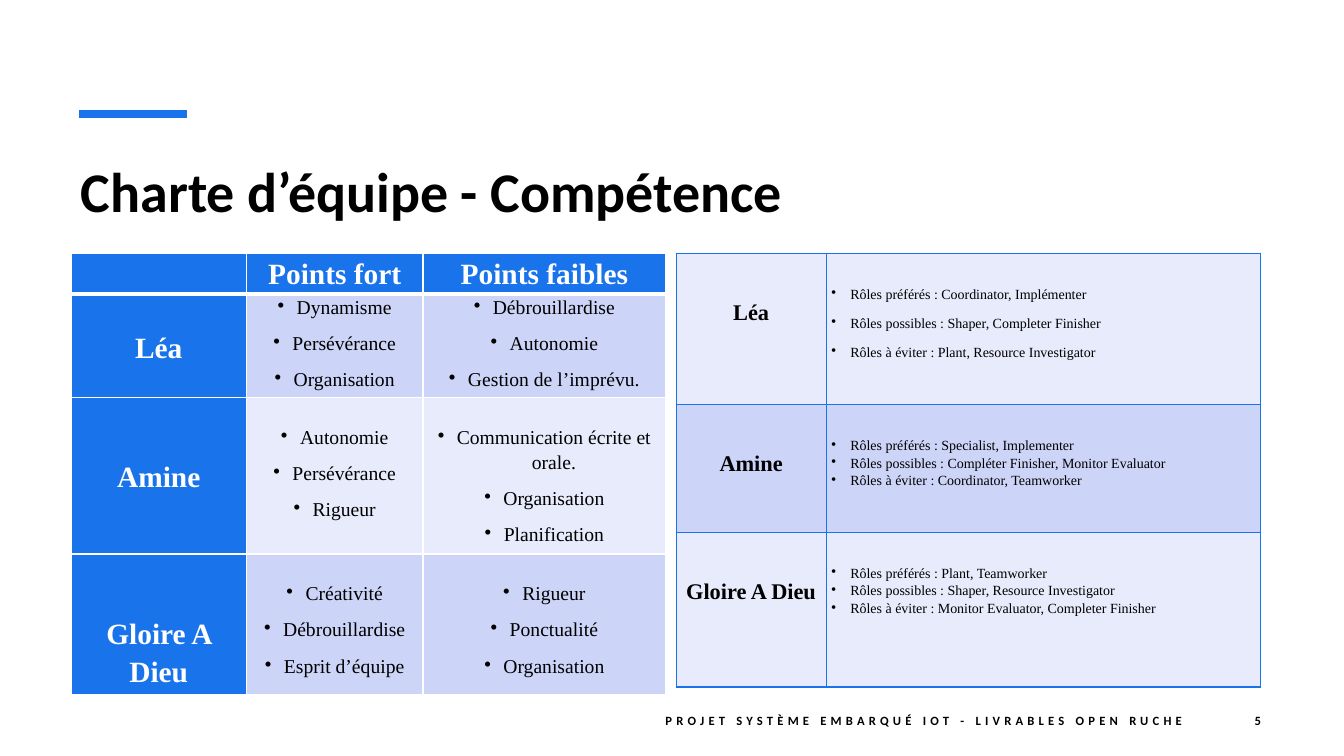
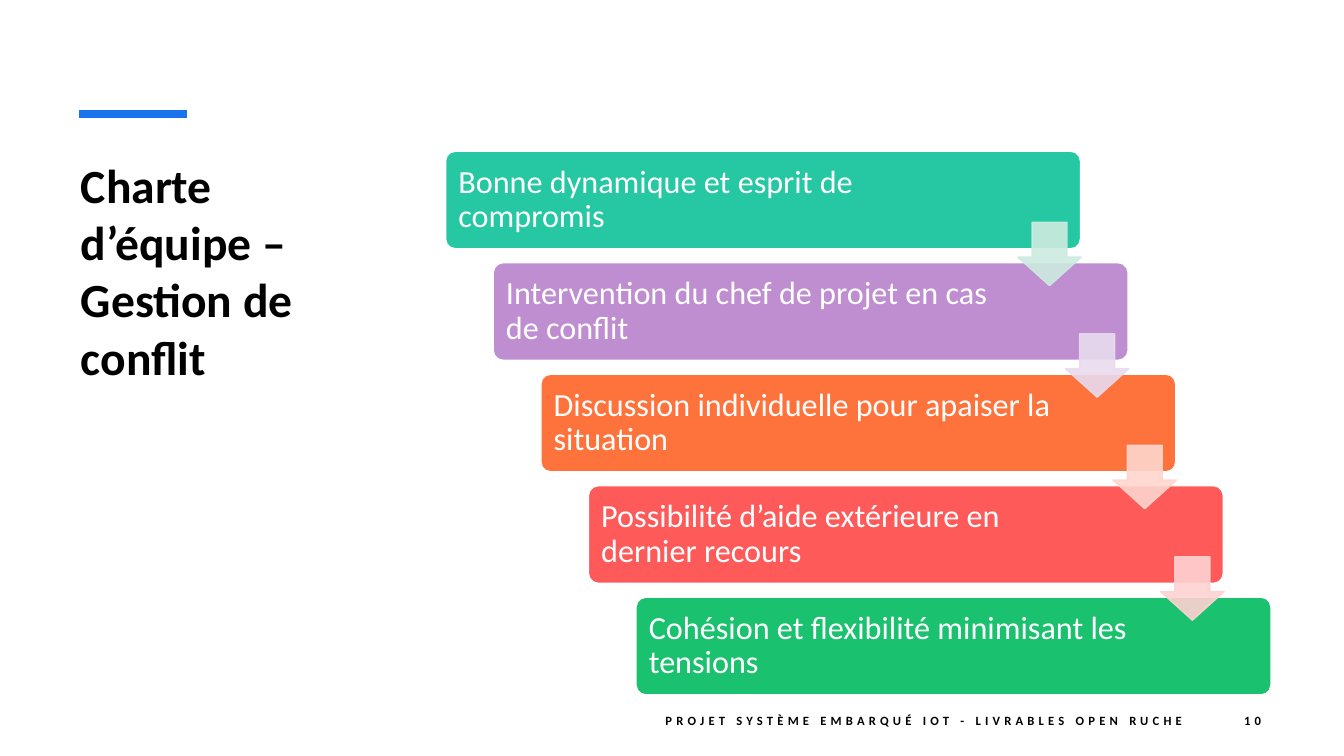
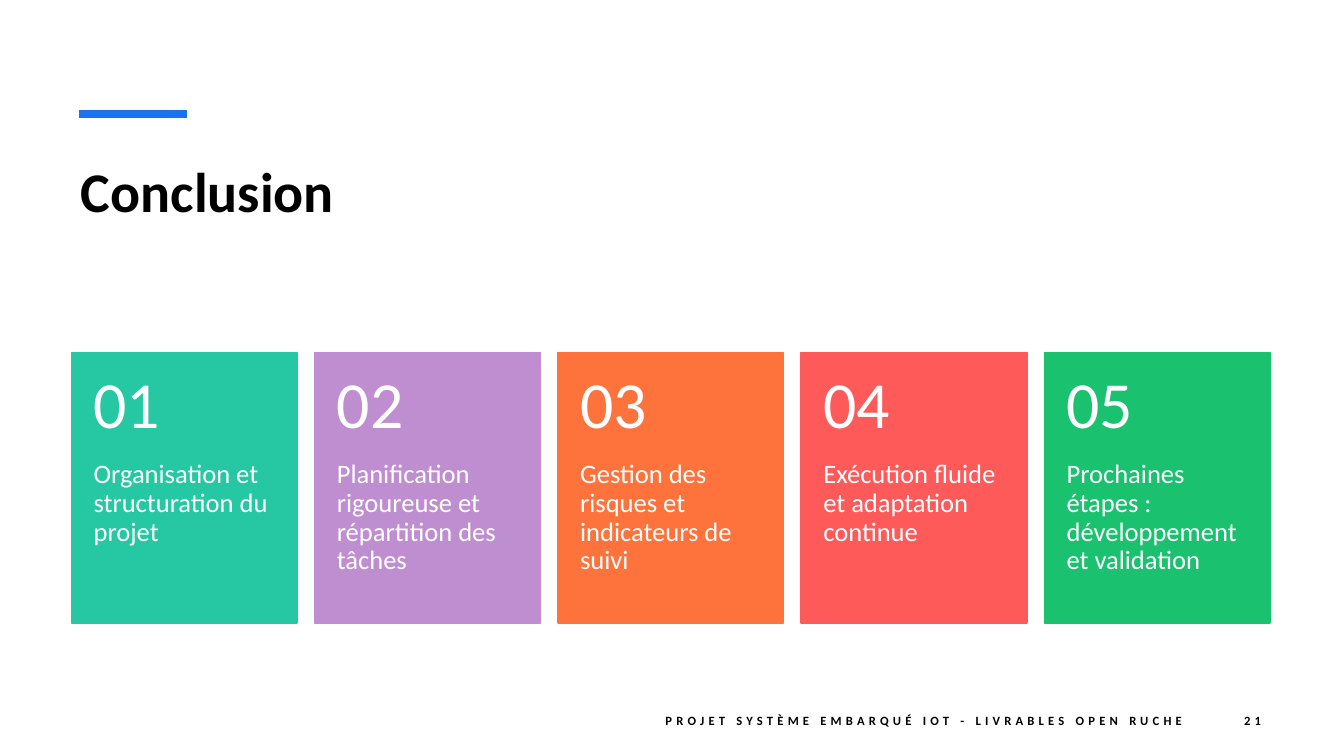
from dataclasses import dataclass, replace

from lxml.etree import SubElement
from pptx import Presentation
from pptx.dml.color import RGBColor
from pptx.enum.shapes import MSO_CONNECTOR, MSO_SHAPE
from pptx.enum.text import MSO_ANCHOR, PP_ALIGN
from pptx.oxml.ns import qn
from pptx.util import Cm, Pt


@dataclass(frozen=True)
class Theme:
    font: str = "Calibri"
    table_font: str = "Times New Roman"
    blue: str = "1973EB"
    band_dark: str = "CCD5F7"
    band_light: str = "E8EBFB"
    black: str = "000000"
    white: str = "FFFFFF"
    accents: tuple[str, ...] = ("25C8A2", "BF8ED1", "FE733C", "FE5A5A", "1AC16E")
    tints: tuple[str, ...] = ("CDEBE0", "E8DBEE", "FFD5CE", "FFD2D2")
    title: int = 40
    long_title: int = 34
    footer: int = 9
    step: int = 23
    number: int = 47
    card: int = 19


@dataclass(frozen=True)
class TextStyle:
    size: float
    color: str
    font: str
    bold: bool = False
    align: PP_ALIGN = PP_ALIGN.LEFT
    spacing: float = 1.0
    after: float = 0
    tracking: float = 0
    bullet: bool = False


@dataclass(frozen=True)
class Box:
    """Position and size in centimetres."""
    x: float
    y: float
    w: float
    h: float

    def lengths(self) -> tuple[Cm, Cm, Cm, Cm]:
        return Cm(self.x), Cm(self.y), Cm(self.w), Cm(self.h)


@dataclass(frozen=True)
class Member:
    name: str
    strengths: tuple[str, ...]
    weaknesses: tuple[str, ...]
    roles: tuple[str, ...]
    band: str
    name_top: float
    list_top: float
    role_band: str
    role_gap: float


T = Theme()
FOOTER = "PROJET SYSTÈME EMBARQUÉ IOT - LIVRABLES OPEN RUCHE"
BULLET_INDENT = Cm(0.48)

TITLE = TextStyle(T.title, T.black, T.font, bold=True)
FOOT = TextStyle(T.footer, T.black, T.font, bold=True, align=PP_ALIGN.RIGHT, tracking=3)
STEP = TextStyle(T.step, T.white, T.font, spacing=0.9)
NUMBER = replace(STEP, size=T.number)
CARD = replace(STEP, size=T.card)
HEAD = TextStyle(21, T.white, T.table_font, True, PP_ALIGN.CENTER, 1.15, 8)
POINT = replace(HEAD, size=14, color=T.black, bold=False, bullet=True)
ROLE_NAME = replace(HEAD, size=16, color=T.black)
ROLE = replace(POINT, size=10, align=PP_ALIGN.JUSTIFY)

MEMBERS = (
    Member("Léa",
           ("Dynamisme", "Persévérance", "Organisation"),
           ("Débrouillardise", "Autonomie", "Gestion de l’imprévu."),
           ("Rôles préférés : Coordinator, Implémenter",
            "Rôles possibles : Shaper, Completer Finisher",
            "Rôles à éviter : Plant, Resource Investigator"),
           T.band_dark, 0.84, 0, T.band_light, 8),
    Member("Amine",
           ("Autonomie", "Persévérance", "Rigueur"),
           ("Communication écrite et orale.", "Organisation", "Planification"),
           ("Rôles préférés : Specialist, Implementer",
            "Rôles possibles : Compléter Finisher, Monitor Evaluator",
            "Rôles à éviter : Coordinator, Teamworker"),
           T.band_light, 1.5, 0.66, T.band_dark, 0),
    Member("Gloire A Dieu",
           ("Créativité", "Débrouillardise", "Esprit d’équipe"),
           ("Rigueur", "Ponctualité", "Organisation"),
           ("Rôles préférés : Plant, Teamworker",
            "Rôles possibles : Shaper, Resource Investigator",
            "Rôles à éviter : Monitor Evaluator, Completer Finisher"),
           T.band_dark, 1.5, 0.66, T.band_light, 0),
)
STEPS = (
    "Bonne dynamique et esprit de compromis",
    "Intervention du chef de projet en cas de conflit",
    "Discussion individuelle pour apaiser la situation",
    "Possibilité d’aide extérieure en dernier recours",
    "Cohésion et flexibilité minimisant les tensions",
)
CARDS = (
    "Organisation et structuration du projet",
    "Planification rigoureuse et répartition des tâches",
    "Gestion des risques et indicateurs de suivi",
    "Exécution fluide et adaptation continue",
    "Prochaines étapes : développement et validation",
)


def rgb(color: str) -> RGBColor:
    return RGBColor.from_string(color)


def write(tf, lines: tuple[str, ...], style: TextStyle) -> None:
    tf.word_wrap = True
    for i, line in enumerate(lines):
        p = tf.add_paragraph() if i else tf.paragraphs[0]
        p.text = line
        p.alignment = style.align
        p.line_spacing = style.spacing
        p.space_after = Pt(style.after)
        if style.bullet:
            pPr = p._p.get_or_add_pPr()
            pPr.set("marL", str(BULLET_INDENT))
            pPr.set("indent", str(-BULLET_INDENT))
            SubElement(pPr, qn("a:buChar")).set("char", "•")
        for r in p.runs:
            r.font.size = Pt(style.size)
            r.font.name = style.font
            r.font.bold = style.bold
            r.font.color.rgb = rgb(style.color)
            if style.tracking:
                r._r.get_or_add_rPr().set("spc", str(int(style.tracking * 100)))


def set_insets(target, left: float, top: float, right: float, bottom: float) -> None:
    """Set the margins, in centimetres, of a text frame or a table cell."""
    target.margin_left, target.margin_top = Cm(left), Cm(top)
    target.margin_right, target.margin_bottom = Cm(right), Cm(bottom)


def add_text(s, box: Box, text: str, style: TextStyle, anchor=MSO_ANCHOR.TOP):
    tf = s.shapes.add_textbox(*box.lengths()).text_frame
    tf.vertical_anchor = anchor
    write(tf, (text,), style)
    return tf


def add_block(s, kind: MSO_SHAPE, box: Box, fill: str, line: str):
    sp = s.shapes.add_shape(kind, *box.lengths())
    sp.shadow.inherit = False
    sp.fill.solid()
    sp.fill.fore_color.rgb = rgb(fill)
    sp.line.color.rgb = rgb(line)
    sp.line.width = Pt(1)
    return sp


def new_slide(prs, title: str, number: int, title_box: Box, style: TextStyle = TITLE):
    """Add a slide with the accent bar, title, footer and page number."""
    s = prs.slides.add_slide(prs.slide_layouts[6])
    bar = s.shapes.add_connector(
        MSO_CONNECTOR.STRAIGHT, Cm(2), Cm(2.87), Cm(4.7), Cm(2.87))
    bar.line.color.rgb = rgb(T.blue)
    bar.line.width = Pt(6)
    SubElement(bar._element.spPr, qn("a:effectLst"))
    add_text(s, title_box, title, style)
    add_text(s, Box(14, 17.65, 16.03, 1.02), FOOTER, FOOT, MSO_ANCHOR.MIDDLE)
    add_text(s, Box(30.03, 17.65, 2, 1.02), str(number), FOOT, MSO_ANCHOR.MIDDLE)
    return s


def new_table(s, x: float, y: float, cols: tuple[float, ...], rows: tuple[float, ...]):
    box = Box(x, y, sum(cols), sum(rows))
    table = s.shapes.add_table(len(rows), len(cols), *box.lengths()).table
    table.first_row = table.horz_banding = False
    for col, width in zip(table.columns, cols):
        col.width = Cm(width)
    for row, height in zip(table.rows, rows):
        row.height = Cm(height)
    return table


def fill_cell(cell, lines: tuple[str, ...], style: TextStyle, fill: str, border: str,
              top: float = 0, side: float = 0.08,
              top_line: float = 1, bottom_line: float = 1) -> None:
    set_insets(cell, side, top, side, 0)
    write(cell.text_frame, lines, style)
    tcPr = cell._tc.get_or_add_tcPr()
    for tag, width in (("lnL", 1), ("lnR", 1), ("lnT", top_line), ("lnB", bottom_line)):
        ln = SubElement(tcPr, qn(f"a:{tag}"))
        ln.set("w", str(Pt(width)))
        color = SubElement(SubElement(ln, qn("a:solidFill")), qn("a:srgbClr"))
        color.set("val", border)
    cell.fill.solid()
    cell.fill.fore_color.rgb = rgb(fill)


def add_skills_table(s) -> None:
    table = new_table(s, 1.79, 6.38, (4.42, 4.45, 6.12), (0.93, 2.44, 3.75, 3.33))
    for c, heading in enumerate(("", "Points fort", "Points faibles")):
        fill_cell(table.cell(0, c), (heading,), HEAD, T.blue, T.white, bottom_line=3)
    for r, m in enumerate(MEMBERS, 1):
        top_line = 3 if r == 1 else 1
        fill_cell(table.cell(r, 0), (m.name,), HEAD, T.blue, T.white,
                  m.name_top, top_line=top_line)
        for c, points in enumerate((m.strengths, m.weaknesses), 1):
            fill_cell(table.cell(r, c), points, POINT, m.band, T.white,
                      m.list_top, top_line=top_line)


def add_roles_table(s) -> None:
    table = new_table(s, 17.04, 6.38, (3.78, 10.95), (3.81, 3.22, 3.9))
    for r, m in enumerate(MEMBERS):
        fill_cell(table.cell(r, 0), (m.name,), ROLE_NAME, m.role_band, T.blue, 1.1, 0.13)
        fill_cell(table.cell(r, 1), m.roles, replace(ROLE, after=m.role_gap),
                  m.role_band, T.blue, 0.79, 0.13)


def add_staircase(s) -> None:
    dx, dy = 1.2, 2.81
    for i, (text, color) in enumerate(zip(STEPS, T.accents)):
        box = Box(11.23 + i * dx, 3.81 + i * dy, 16, 2.46)
        sp = add_block(s, MSO_SHAPE.ROUNDED_RECTANGLE, box, color, T.white)
        sp.adjustments[0] = 0.1
        tf = sp.text_frame
        tf.vertical_anchor = MSO_ANCHOR.MIDDLE
        set_insets(tf, 0.25, 0.25, 3.05, 0.25)
        write(tf, (text,), STEP)
    for i, tint in enumerate(T.tints):
        box = Box(25.65 + i * dx, 5.6 + i * dy, 1.6, 1.6)
        arrow = add_block(s, MSO_SHAPE.DOWN_ARROW, box, tint, tint)
        arrow.adjustments[0], arrow.adjustments[1] = 0.55, 0.45
        for color in arrow._element.spPr.findall(".//" + qn("a:srgbClr")):
            SubElement(color, qn("a:alpha")).set("val", "90000")


def add_cards(s) -> None:
    width, pitch, number_height = 5.69, 6.13, 2.72
    for i, (text, color) in enumerate(zip(CARDS, T.accents)):
        box = Box(1.8 + i * pitch, 8.89, width, 6.81)
        tf = add_block(s, MSO_SHAPE.RECTANGLE, box, color, color).text_frame
        tf.vertical_anchor = MSO_ANCHOR.TOP
        set_insets(tf, 0.56, number_height, 0.56, 0.91)
        write(tf, (text,), CARD)
        number = add_text(s, replace(box, h=number_height), f"{i + 1:02}",
                          NUMBER, MSO_ANCHOR.MIDDLE)
        set_insets(number, 0.56, 0.46, 0.56, 0.46)


def main() -> None:
    prs = Presentation()
    prs.slide_width, prs.slide_height = Cm(33.87), Cm(19.05)
    wide = Box(1.79, 3.81, 30.25, 3.05)

    s = new_slide(prs, "Charte d’équipe - Compétence", 5, wide)
    add_skills_table(s)
    add_roles_table(s)

    s = new_slide(prs, "Charte d’équipe – Gestion de conflit", 10,
                  Box(1.79, 3.81, 7.37, 11.53), replace(TITLE, size=T.long_title))
    add_staircase(s)

    s = new_slide(prs, "Conclusion", 21, wide)
    add_cards(s)

    prs.save("out.pptx")


if __name__ == "__main__":
    main()
